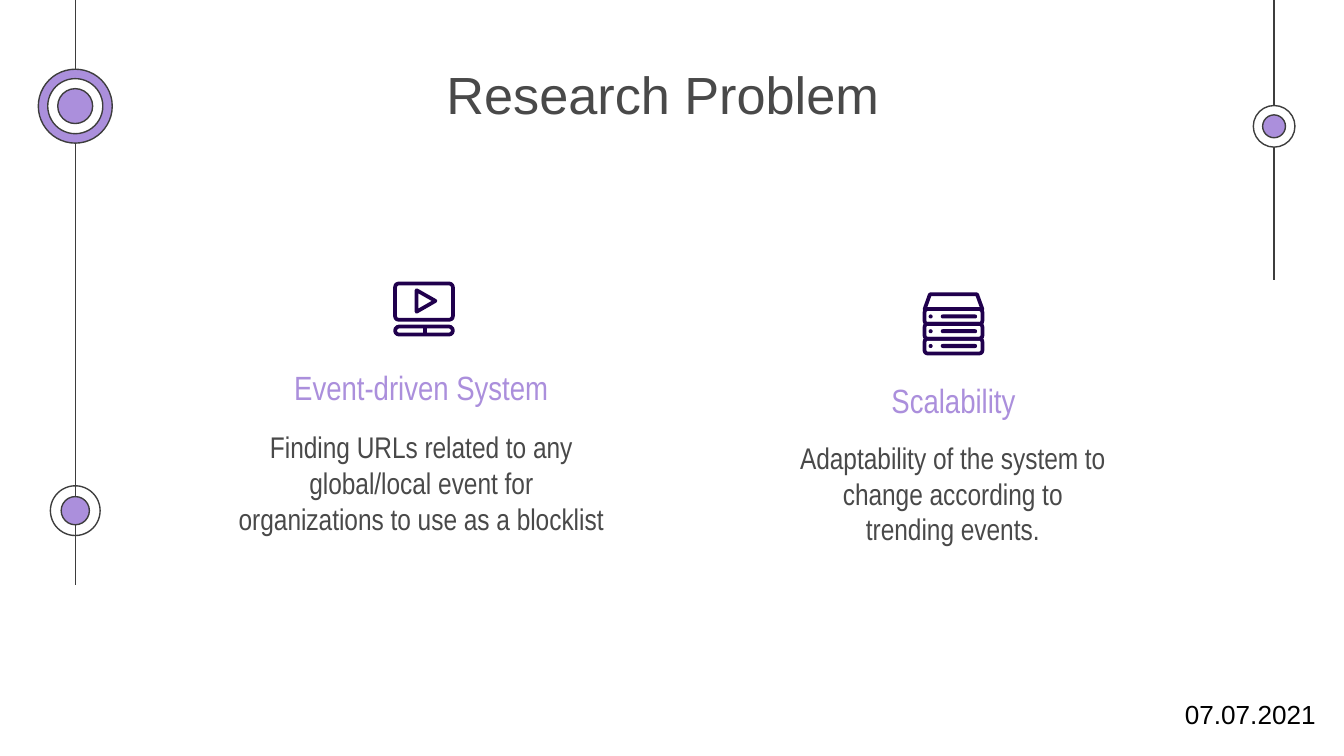
from lxml import etree
from pptx import Presentation
from pptx.dml.color import RGBColor
from pptx.enum import shapes as s, text as t
from pptx.oxml.ns import qn
from pptx.util import Inches, Pt

LILAC = RGBColor(0xAB, 0x8F, 0xDC)
DARK = RGBColor(0x3D, 0x3D, 0x3D)
GREY = RGBColor(0x49, 0x49, 0x49)
NAVY = RGBColor(0x20, 0x00, 0x4D)
WHITE = RGBColor(0xFF, 0xFF, 0xFF)
BLACK = RGBColor(0, 0, 0)

TITLE = "Research Problem"
DATE = "07.07.2021"
TOPICS = [
    ("Event-driven System", (1.95, 2.63, 2.37, 0.36),
     "Finding URLs related to any global/local event for "
     "organizations to use as a blocklist", (1.64, 3.09, 2.99, 0.85)),
    ("Scalability", (6.13, 2.73, 1.93, 0.36),
     "Adaptability of the system to change according to trending events.",
     (5.82, 3.17, 2.54, 0.87)),
]
RAILS = [(0.56, 4.35), (9.48, 2.08)]
RINGS = [
    (0.56, 3.8, [(0.37, None), (0.21, LILAC)]),
    (9.48, 0.94, [(0.31, WHITE), (0.17, LILAC)]),
    (0.56, 0.79, [(0.55, LILAC), (0.41, WHITE), (0.26, LILAC)]),
]

deck = Presentation()
deck.slide_width = Inches(10)
deck.slide_height = deck.slide_width * 9 // 16
slide = deck.slides.add_slide(deck.slide_layouts[5])
items = slide.shapes


def paint(shape, fill, line, width):
    shape.shadow.inherit = False
    if fill is None:
        shape.fill.background()
    else:
        shape.fill.solid()
        shape.fill.fore_color.rgb = fill
    if line is None:
        shape.line.fill.background()
    else:
        shape.line.color.rgb = line
        shape.line.width = Pt(width)


def draw(kind, box, fill=None, line=NAVY, width=2, bend=None):
    shape = items.add_shape(kind, *map(Inches, box))
    if bend is not None:
        shape.adjustments[0] = bend
    paint(shape, fill, line, width)


def link(x1, y1, x2, y2, color, width):
    line = items.add_connector(s.MSO_CONNECTOR.STRAIGHT,
                               *map(Inches, (x1, y1, x2, y2)))
    line.line.color.rgb = color
    line.line.width = Pt(width)
    etree.SubElement(line._element.spPr, qn("a:effectLst"))


def write(shape, words, size, font, color, align=t.PP_ALIGN.CENTER,
          anchor=t.MSO_ANCHOR.TOP):
    frame = shape.text_frame
    frame.text = words
    frame.word_wrap = True
    frame.auto_size = t.MSO_AUTO_SIZE.NONE
    frame.vertical_anchor = anchor
    frame.margin_left = frame.margin_right = Inches(0.1)
    frame.margin_top = frame.margin_bottom = Inches(0.1)
    para = frame.paragraphs[0]
    para.alignment = align
    face = para.runs[0].font
    face.size, face.name, face.color.rgb = Pt(size), font, color


def label(box, *style, **more):
    write(items.add_textbox(*map(Inches, box)), *style, **more)


def player(x, y):
    draw(s.MSO_SHAPE.ROUNDED_RECTANGLE, (x, y, 0.43, 0.27), bend=0.1)
    draw(s.MSO_SHAPE.ROUNDED_RECTANGLE, (x, y + 0.32, 0.43, 0.06), bend=0.5)
    link(x + 0.22, y + 0.32, x + 0.22, y + 0.38, NAVY, 2)
    left, top = x + 0.16, y + 0.05
    path = items.build_freeform(Inches(left), Inches(top))
    path.add_line_segments([(Inches(left + 0.14), Inches(top + 0.08)),
                            (Inches(left), Inches(top + 0.16))])
    paint(path.convert_to_shape(), None, NAVY, 2)


def server(x, y):
    draw(s.MSO_SHAPE.TRAPEZOID, (x, y, 0.43, 0.11), bend=0.36)
    for row in range(1, 4):
        top = y + 0.11 * row
        draw(s.MSO_SHAPE.ROUNDED_RECTANGLE, (x, top, 0.43, 0.11), bend=0.2)
        draw(s.MSO_SHAPE.OVAL, (x + 0.03, top + 0.04, 0.03, 0.03), NAVY, None)
        draw(s.MSO_SHAPE.ROUNDED_RECTANGLE,
             (x + 0.12, top + 0.04, 0.27, 0.03), NAVY, None, bend=0.5)


for x, end in RAILS:
    link(x, 0, x, end, DARK, 0.75)
for x, y, discs in RINGS:
    for size, fill in discs:
        draw(s.MSO_SHAPE.OVAL, (x - size / 2, y - size / 2, size, size),
             fill, DARK, 0.75)

title = items.title
title.left, title.top, title.width, title.height = map(
    Inches, (1.88, 0.37, 6.1, 0.65))
write(title, TITLE, 28, "Arial", GREY, anchor=t.MSO_ANCHOR.MIDDLE)

for head, place, body, area in TOPICS:
    label(place, head, 18, "Arial Narrow", LILAC)
    label(area, body, 16, "Arial Narrow", GREY)

player(2.94, 2.11)
server(6.88, 2.19)
label((0.01, 5.14, 9.88, 0.34), DATE, 14, "Arial", BLACK,
      align=t.PP_ALIGN.RIGHT, anchor=t.MSO_ANCHOR.MIDDLE)

deck.save("out.pptx")
